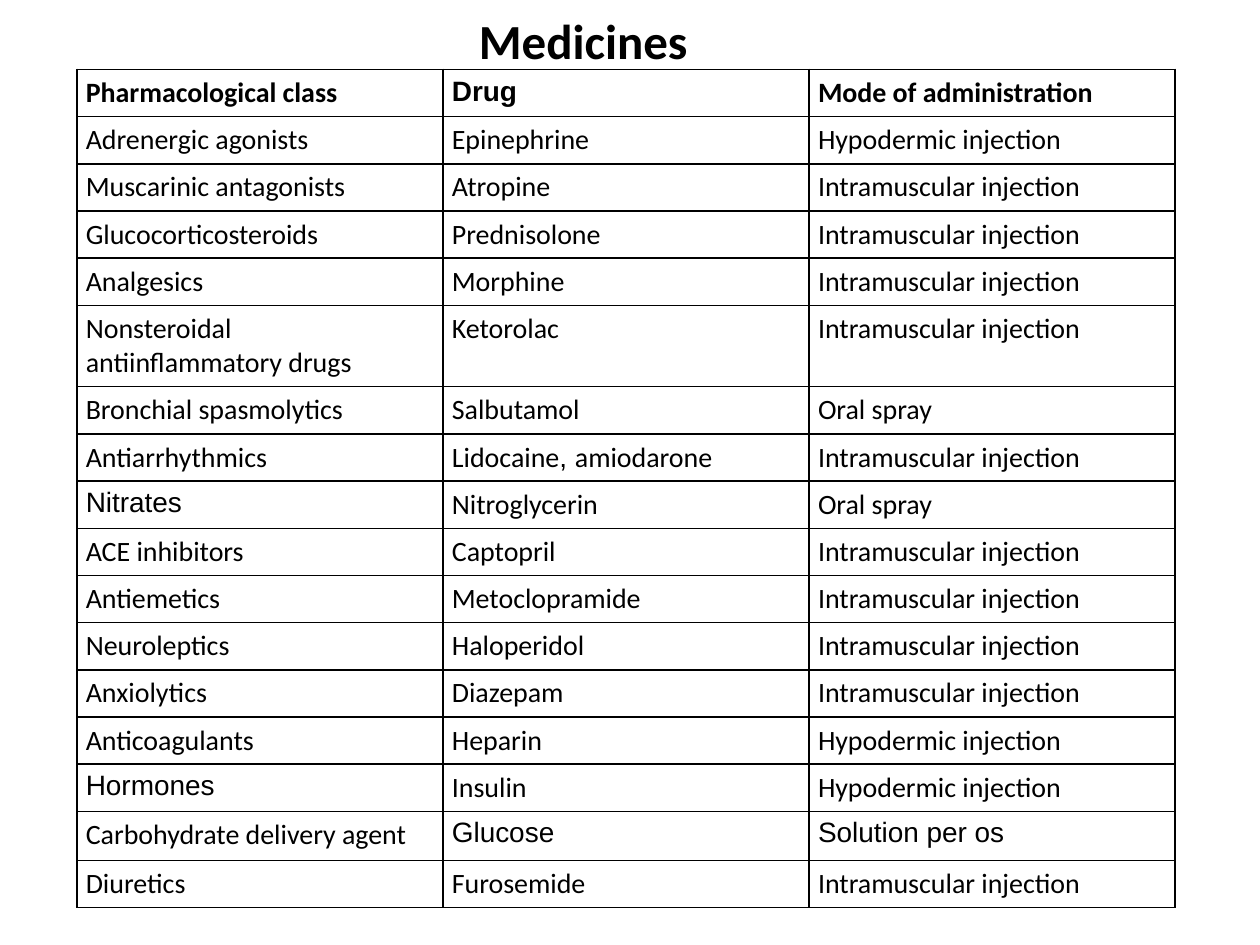
from dataclasses import dataclass

from lxml.etree import SubElement
from pptx import Presentation
from pptx.dml.color import RGBColor
from pptx.enum.text import MSO_ANCHOR, MSO_AUTO_SIZE, PP_ALIGN
from pptx.oxml.ns import qn
from pptx.util import Cm, Pt


@dataclass(frozen=True)
class Theme:
    ink: RGBColor = RGBColor(0, 0, 0)
    main_font: str = "Calibri"
    other_font: str = "Arial"
    title_size: int = 28
    cell_size: int = 16
    border_width: int = 1


@dataclass(frozen=True)
class Span:
    text: str
    font: str


@dataclass(frozen=True)
class Medicine:
    drug_class: tuple[Span, ...]
    drug: tuple[Span, ...]
    mode: tuple[Span, ...]
    height: float = 0.94


THEME = Theme()


def main(text: str) -> tuple[Span, ...]:
    return (Span(text, THEME.main_font),)


def other(text: str) -> tuple[Span, ...]:
    return (Span(text, THEME.other_font),)


INTRAMUSCULAR = main("Intramuscular injection")
HYPODERMIC = main("Hypodermic injection")
ORAL_SPRAY = main("Oral spray")

MEDICINES = [
    Medicine(main("Pharmacological class"), other("Drug"), main("Mode of administration")),
    Medicine(main("Adrenergic agonists"), main("Epinephrine"), HYPODERMIC),
    Medicine(main("Muscarinic antagonists"), main("Atropine"), INTRAMUSCULAR),
    Medicine(main("Glucocorticosteroids"), main("Prednisolone"), INTRAMUSCULAR),
    Medicine(main("Analgesics"), main("Morphine"), INTRAMUSCULAR),
    Medicine(main("Nonsteroidal antiinflammatory drugs"), main("Ketorolac"), INTRAMUSCULAR, 1.63),
    Medicine(main("Bronchial spasmolytics"), main("Salbutamol"), ORAL_SPRAY),
    Medicine(main("Antiarrhythmics"),
             main("Lidocaine") + other(", ") + main("amiodarone"), INTRAMUSCULAR),
    Medicine(other("Nitrates"), main("Nitroglycerin"), ORAL_SPRAY),
    Medicine(main("ACE inhibitors"), main("Captopril"), INTRAMUSCULAR),
    Medicine(main("Antiemetics"), main("Metoclopramide"), INTRAMUSCULAR),
    Medicine(main("Neuroleptics"), main("Haloperidol"), INTRAMUSCULAR),
    Medicine(main("Anxiolytics"), main("Diazepam"), INTRAMUSCULAR),
    Medicine(main("Anticoagulants"), main("Heparin"), HYPODERMIC),
    Medicine(other("Hormones"), main("Insulin"), HYPODERMIC),
    Medicine(main("Сarbohydrate delivery agent"), other("Glucose"), other("Solution per os"), 0.99),
    Medicine(main("Diuretics"), main("Furosemide"), INTRAMUSCULAR),
]


def add_spans(paragraph, spans: tuple[Span, ...], size: int, bold: bool) -> None:
    paragraph.alignment = PP_ALIGN.LEFT
    for span in spans:
        run = paragraph.add_run()
        run.text = span.text
        run.font.name = span.font
        run.font.size = Pt(size)
        run.font.bold = bold
        run.font.color.rgb = THEME.ink


def add_borders(cell) -> None:
    properties = cell._tc.get_or_add_tcPr()
    for side in ("a:lnL", "a:lnR", "a:lnT", "a:lnB"):
        line = SubElement(properties, qn(side), w=str(Pt(THEME.border_width)))
        fill = SubElement(line, qn("a:solidFill"))
        SubElement(fill, qn("a:srgbClr"), val=str(THEME.ink))


def fill_cell(cell, spans: tuple[Span, ...], bold: bool) -> None:
    cell.margin_left = cell.margin_right = Cm(0.18)
    cell.margin_top = cell.margin_bottom = Cm(0.13)
    cell.vertical_anchor = MSO_ANCHOR.TOP
    add_borders(cell)
    cell.fill.background()
    add_spans(cell.text_frame.paragraphs[0], spans, THEME.cell_size, bold)


def add_medicine_table(slide) -> None:
    height = sum(medicine.height for medicine in MEDICINES)
    table = slide.shapes.add_table(
        len(MEDICINES), 3, Cm(1.55), Cm(1.4), Cm(22.14), Cm(height)).table
    table.first_row = table.horz_banding = False
    for column in table.columns:
        column.width = Cm(7.38)
    for index, medicine in enumerate(MEDICINES):
        row = table.rows[index]
        row.height = Cm(medicine.height)
        values = (medicine.drug_class, medicine.drug, medicine.mode)
        for cell, spans in zip(row.cells, values):
            fill_cell(cell, spans, bold=index == 0)


def set_title(slide, text: str) -> None:
    title = slide.shapes.title
    title.left, title.top, title.width, title.height = Cm(9.4), Cm(0.08), Cm(6.45), Cm(1.45)
    frame = title.text_frame
    frame.auto_size = MSO_AUTO_SIZE.NONE
    frame.word_wrap = True
    frame.vertical_anchor = MSO_ANCHOR.TOP
    add_spans(frame.paragraphs[0], main(text), THEME.title_size, bold=True)


# Slide
presentation = Presentation()
presentation.slide_width, presentation.slide_height = Cm(25.4), Cm(19.05)
slide = presentation.slides.add_slide(presentation.slide_layouts[5])

# Title and table
set_title(slide, "Medicines")
add_medicine_table(slide)

presentation.save("out.pptx")
